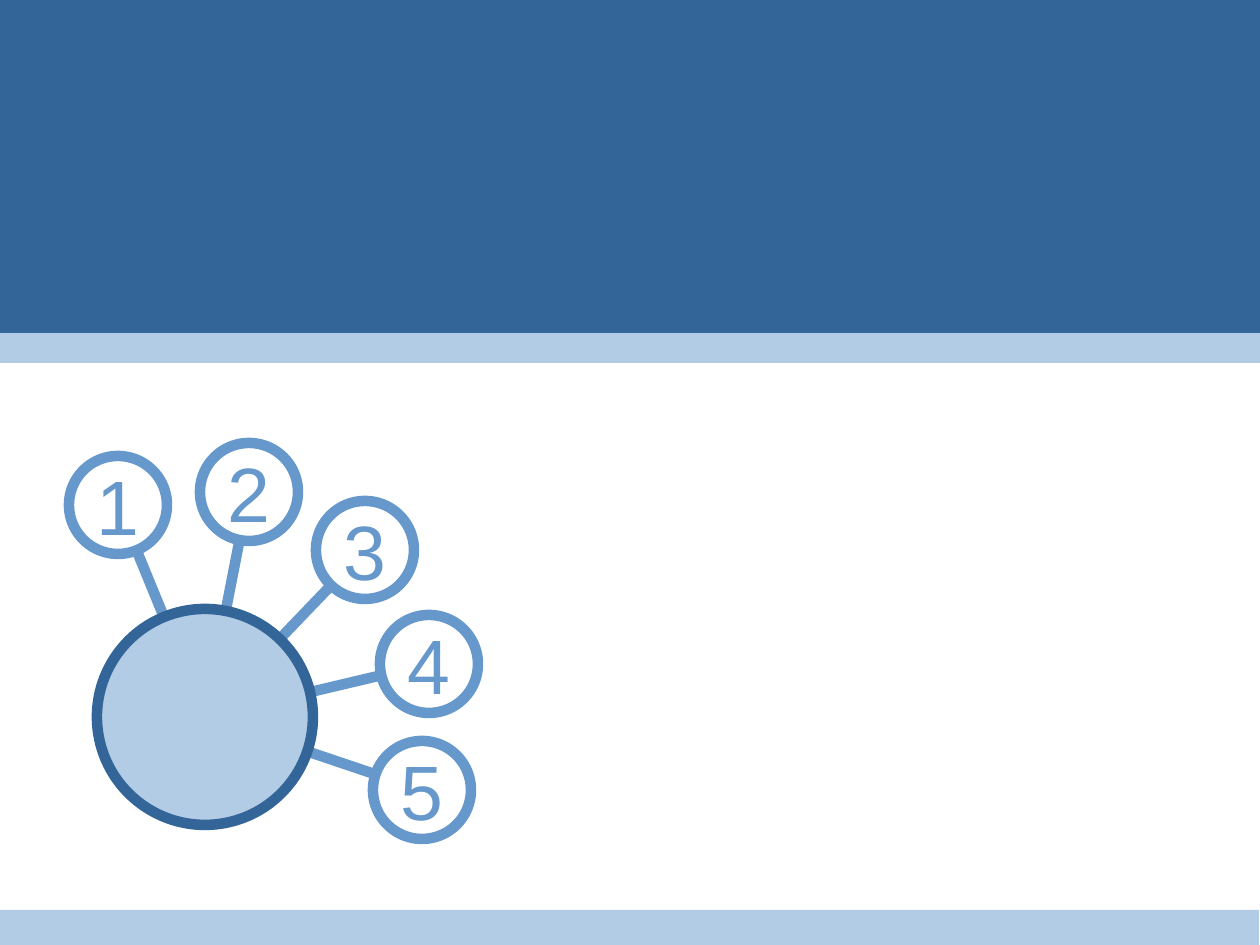
import math

from lxml import etree
from pptx import Presentation
from pptx import util as u
from pptx.dml.color import RGBColor
from pptx.enum import shapes, text
from pptx.oxml.ns import qn

PX = 914400 // 126  # EMU per pixel

DARK = RGBColor(0x33, 0x65, 0x99)
MID = RGBColor(0x66, 0x98, 0xCC)
LIGHT = RGBColor(0xB3, 0xCC, 0xE6)
WHITE = RGBColor(0xFF, 0xFF, 0xFF)

STROKE = u.Pt(6)
HUB_CENTER, HUB_RADIUS = (205, 717), 108
NODE_RADIUS = 49
NODE_CENTERS = [(118, 505), (249, 492), (365, 550), (429, 664), (422, 790)]


def px(n):
    return u.Emu(round(n * PX))


def add_band(parent, top, height, color, width=1260):
    sp = parent.add_shape(shapes.MSO_SHAPE.RECTANGLE, 0, px(top), px(width), px(height))
    sp.shadow.inherit = False
    sp.fill.solid()
    sp.fill.fore_color.rgb = color
    sp.line.fill.background()


def add_circle(parent, center, radius, fill, line, label=""):
    x, y = center
    sp = parent.add_shape(shapes.MSO_SHAPE.OVAL, px(x - radius), px(y - radius),
                          px(2 * radius), px(2 * radius))
    sp.shadow.inherit = False
    sp.fill.solid()
    sp.fill.fore_color.rgb = fill
    sp.line.color.rgb = line
    sp.line.width = STROKE
    if label:
        tf = sp.text_frame
        tf.margin_left = tf.margin_right = tf.margin_top = tf.margin_bottom = 0
        tf.vertical_anchor = text.MSO_ANCHOR.MIDDLE
        tf.word_wrap = False
        tf.text = label
        p = tf.paragraphs[0]
        p.alignment = text.PP_ALIGN.CENTER
        font = p.runs[0].font
        font.name, font.size = "Arial", u.Pt(44)
        font.color.rgb = line


def add_spoke(parent, node):
    """Join the rims of a node and the hub along the line of centers."""
    (hx, hy), (nx, ny) = HUB_CENTER, node
    dist = math.hypot(nx - hx, ny - hy)
    ux, uy = (nx - hx) / dist, (ny - hy) / dist
    s = parent.add_connector(
        shapes.MSO_CONNECTOR.STRAIGHT,
        px(nx - ux * NODE_RADIUS), px(ny - uy * NODE_RADIUS),
        px(hx + ux * HUB_RADIUS), px(hy + uy * HUB_RADIUS))
    s.line.color.rgb = MID
    s.line.width = STROKE
    etree.SubElement(s._element.spPr, qn("a:effectLst"))


def main():
    prs = Presentation()
    prs.slide_width, prs.slide_height = u.Inches(10), u.Inches(7.5)
    slide = prs.slides.add_slide(prs.slide_layouts[6])
    slide.background.fill.solid()
    slide.background.fill.fore_color.rgb = WHITE

    # Header and footer bands
    add_band(slide.shapes, 0, 334, DARK)
    add_band(slide.shapes, 910, 38, LIGHT, width=1259)
    add_band(slide.shapes, 333, 30, LIGHT)

    # Numbered nodes fanned around the hub
    fan = slide.shapes.add_group_shape().shapes
    for number, center in enumerate(NODE_CENTERS, 1):
        add_circle(fan, center, NODE_RADIUS, WHITE, MID, str(number))
    for center in NODE_CENTERS:
        add_spoke(fan, center)
    add_circle(fan, HUB_CENTER, HUB_RADIUS, LIGHT, DARK)

    prs.save("out.pptx")


if __name__ == "__main__":
    main()
